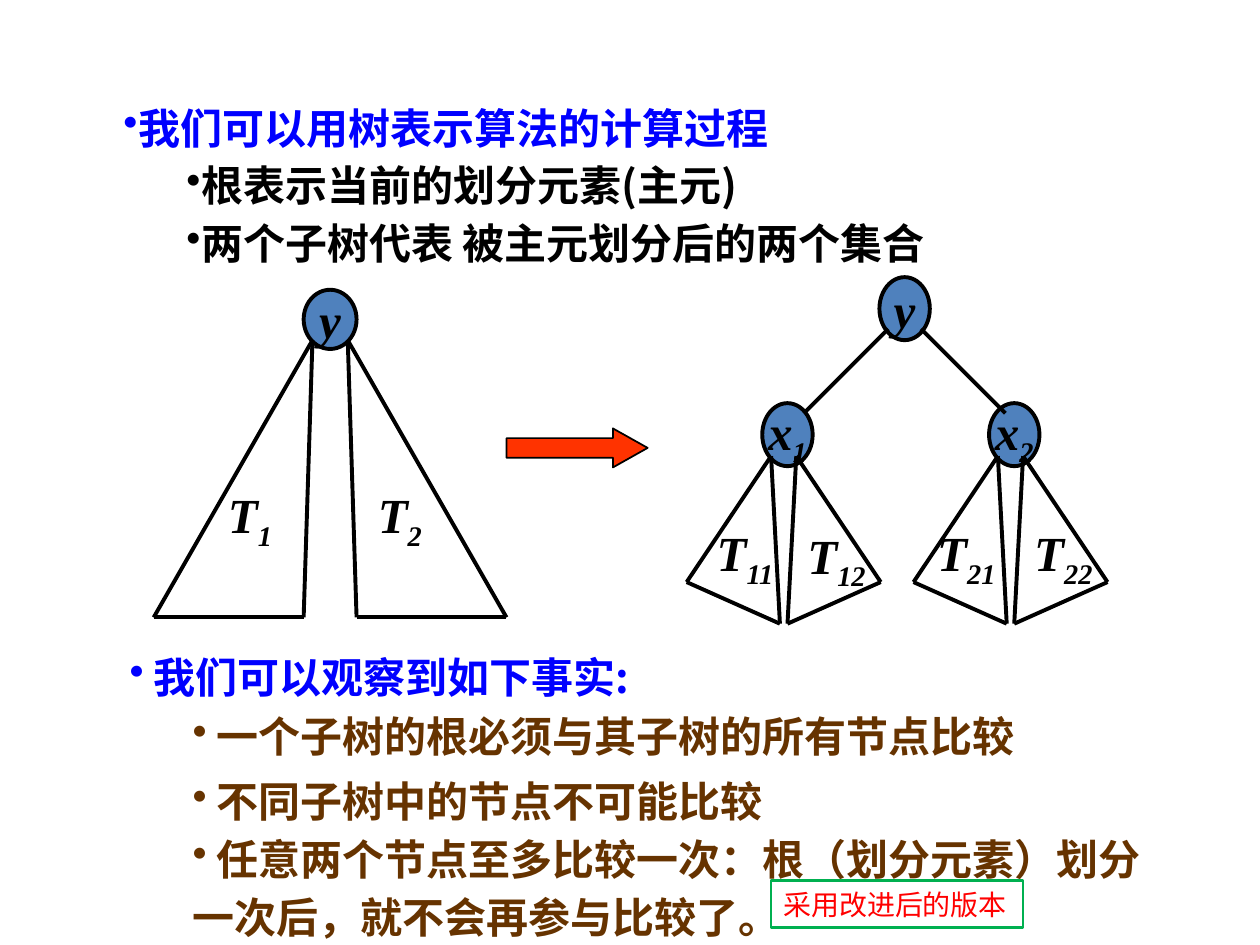
"""Build a slide that shows quicksort partitioning as a tree."""
import pptx
import pptx.util
import pptx.dml.color
import pptx.enum.shapes
import pptx.enum.text
import pptx.oxml.ns
from dataclasses import dataclass
from lxml import etree

SHAPE = pptx.enum.shapes.MSO_SHAPE
ALIGN = pptx.enum.text.PP_ALIGN
ANCHOR = pptx.enum.text.MSO_ANCHOR
Inches, Pt = pptx.util.Inches, pptx.util.Pt
qn = pptx.oxml.ns.qn


@dataclass(frozen=True)
class Theme:
    black: str = "000000"
    white: str = "FFFFFF"
    blue: str = "0000FF"
    brown: str = "663300"
    node: str = "4F81BD"
    arrow: str = "FF3300"
    green: str = "00B050"
    red: str = "FF0000"
    cjk: str = "Noto Sans CJK SC"
    math: str = "Times New Roman"
    body: int = 24
    symbol: int = 28
    note: int = 16
    pitch: float = 33.1
    edge: float = 2.25


THEME = Theme()

INTRO = [
    (1, "我们可以用树表示算法的计算过程", THEME.blue, 0),
    (2, "根表示当前的划分元素(主元)", THEME.black, 0),
    (2, "两个子树代表 被主元划分后的两个集合", THEME.black, 0),
]
FACTS = [
    (1, " 我们可以观察到如下事实:", THEME.blue, 0),
    (2, " 一个子树的根必须与其子树的所有节点比较", THEME.brown, 1),
    (2, " 不同子树中的节点不可能比较", THEME.brown, 4),
    (2, " 任意两个节点至多比较一次：根（划分元素）划分一次后，就不会再参与比较了。", THEME.brown, 0),
]
NOTE = "采用改进后的版本"
NODES = [
    ("y", "", (2.41, 2.3, 0.42, 0.47)),
    ("y", "", (6.98, 2.2, 0.4, 0.5)),
    ("x", "1", (6.05, 3.2, 0.4, 0.5)),
    ("x", "2", (7.85, 3.2, 0.4, 0.5)),
]
SUBTREES = [
    ("1", (1.71, 3.8, 0.69, 0.57)),
    ("2", (2.9, 3.8, 0.7, 0.57)),
    ("11", (5.59, 4.1, 0.67, 0.88)),
    ("12", (6.31, 4.12, 0.67, 0.88)),
    ("21", (7.34, 4.1, 0.67, 0.88)),
    ("22", (8.11, 4.1, 0.67, 0.88)),
]
LARGE = [(0.14, 2.7), (1.4, 4.9), (0.21, 4.9)]
SMALL = [(0.1, 3.62), (0.77, 4.62), (0.03, 4.95)]
TREE_AXES = [(2.62, LARGE), (6.22, SMALL), (8.02, SMALL)]
ROOT_AXIS, BRANCH = 7.18, [(0.13, 2.61), (0.8, 3.28)]


def rgb(color):
    return pptx.dml.color.RGBColor.from_string(color)


def add_run(paragraph, text, size, color, face, bold=True, italic=False, subscript=False):
    run = paragraph.add_run()
    run.text = text
    font = run.font
    font.size, font.bold, font.italic = Pt(size), bold, italic
    font.color.rgb = rgb(color)
    font.name = face
    properties = run._r.get_or_add_rPr()
    if face == THEME.cjk:
        etree.SubElement(properties, qn("a:ea"), typeface=face)
    if subscript:
        properties.set("baseline", "-25000")


def add_symbol(paragraph, letter, index):
    for text, lowered in ((letter, False), (index, True)):
        if text:
            add_run(paragraph, text, THEME.symbol, THEME.black, THEME.math,
                    italic=True, subscript=lowered)


def add_text(slide, box):
    frame = slide.shapes.add_textbox(*map(Inches, box)).text_frame
    frame.word_wrap = True
    return frame


def add_figure(slide, kind, box, fill, line=None, width=1):
    figure = slide.shapes.add_shape(kind, *map(Inches, box))
    figure.shadow.inherit = False
    figure.fill.solid()
    figure.fill.fore_color.rgb = rgb(fill)
    if line:
        figure.line.color.rgb = rgb(line)
        figure.line.width = Pt(width)
    else:
        figure.line.fill.background()
    return figure


def add_edge(slide, start, end):
    edge = slide.shapes.add_connector(
        pptx.enum.shapes.MSO_CONNECTOR.STRAIGHT, *map(Inches, (*start, *end)))
    edge.line.color.rgb = rgb(THEME.black)
    edge.line.width = Pt(THEME.edge)
    etree.SubElement(edge._element.spPr, qn("a:effectLst"))


def mirror(axis, points, side):
    return [(axis + side * offset, y) for offset, y in points]


def add_bullets(frame, items):
    frame.word_wrap = True
    frame.vertical_anchor = ANCHOR.TOP
    for position, (level, text, color, before) in enumerate(items):
        paragraph = frame.add_paragraph() if position else frame.paragraphs[0]
        properties = paragraph._p.get_or_add_pPr()
        properties.set("marL", str(Inches(0.5 * level)))
        properties.set("indent", "0")
        etree.SubElement(properties, qn("a:buChar"), char="•")
        paragraph.level = level
        paragraph.alignment = ALIGN.LEFT
        paragraph.line_spacing = Pt(THEME.pitch)
        if before:
            paragraph.space_before = Pt(before)
        add_run(paragraph, text, THEME.body, color, THEME.cjk)


def add_trees(slide):
    for letter, index, box in NODES:
        node = add_figure(slide, SHAPE.OVAL, box, THEME.node, THEME.black, THEME.edge)
        frame = node.text_frame
        frame.word_wrap = False
        frame.vertical_anchor = ANCHOR.MIDDLE
        frame.paragraphs[0].alignment = ALIGN.CENTER
        add_symbol(frame.paragraphs[0], letter, index)
    for index, box in SUBTREES:
        add_symbol(add_text(slide, box).paragraphs[0], "T", index)
    for side in (-1, 1):
        for axis, outline in TREE_AXES:
            apex, outer, inner = mirror(axis, outline, side)
            for start, end in ((apex, outer), (apex, inner), (inner, outer)):
                add_edge(slide, start, end)
        add_edge(slide, *mirror(ROOT_AXIS, BRANCH, side))


def main():
    deck = pptx.Presentation()
    deck.slide_width, deck.slide_height = Inches(10), Inches(7.5)
    slide = deck.slides.add_slide(deck.slide_layouts[6])

    intro = add_text(slide, (0.38, 0.14, 7.81, 2))
    intro.margin_top, intro.margin_bottom = Inches(0.61), 0
    add_bullets(intro, INTRO)

    add_trees(slide)
    arrow = add_figure(slide, SHAPE.RIGHT_ARROW, (4.02, 3.4, 1.12, 0.31),
                       THEME.arrow, THEME.black)
    arrow.adjustments[1] = 0.89

    facts = add_figure(slide, SHAPE.RECTANGLE, (0.43, 5.06, 8.96, 2.36), THEME.white)
    add_bullets(facts.text_frame, FACTS)

    note = add_figure(slide, SHAPE.RECTANGLE, (6.12, 6.99, 2, 0.37),
                      THEME.white, THEME.green, 1.5).text_frame
    note.vertical_anchor = ANCHOR.MIDDLE
    note.word_wrap = True
    note.paragraphs[0].alignment = ALIGN.LEFT
    add_run(note.paragraphs[0], NOTE, THEME.note, THEME.red, THEME.math, bold=False)

    deck.save("out.pptx")


if __name__ == "__main__":
    main()
